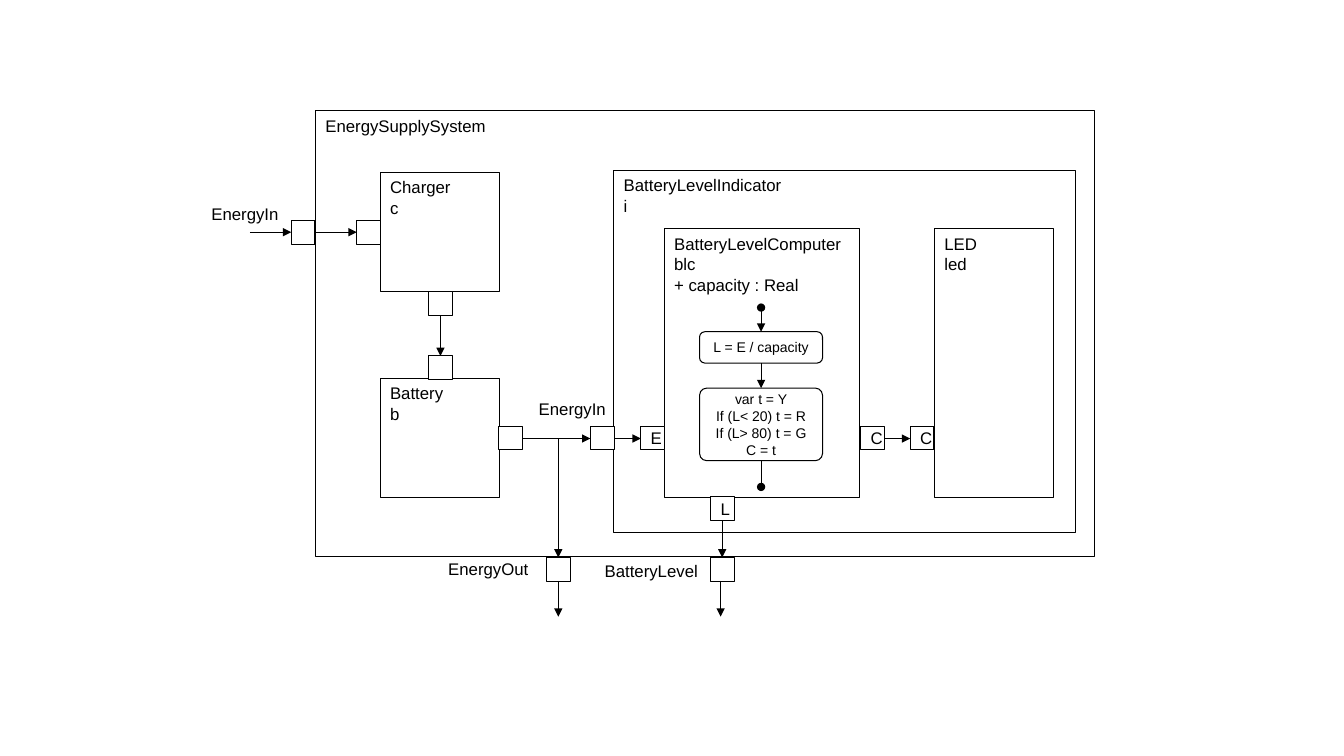
import pptx
import pptx.dml.color
import pptx.enum.shapes
import pptx.enum.text
import pptx.oxml.ns
import pptx.oxml.xmlchemy
import pptx.util

Cm = pptx.util.Cm
Pt = pptx.util.Pt
SHAPE = pptx.enum.shapes.MSO_SHAPE
ALIGN = pptx.enum.text.PP_ALIGN
ANCHOR = pptx.enum.text.MSO_ANCHOR
BLACK, WHITE = "000000", "FFFFFF"
PORT = 0.6
FLOW_ROW = 10.74
BOTTOM_ROW = 14.05


def paint(color_format, hex_color):
    """Give a solid fill or a font a colour from a hex string."""
    if hasattr(color_format, "solid"):
        color_format.solid()
        color_format = color_format.fore_color
    else:
        color_format = color_format.color
    color_format.rgb = pptx.dml.color.RGBColor.from_string(hex_color)


def write(frame, lines, align, size, frame_format):
    """Fill a text frame with one paragraph for each line."""
    for attribute, value in frame_format.items():
        setattr(frame, attribute, value)
    frame.text = lines
    for paragraph in frame.paragraphs:
        paragraph.alignment = align
        for attribute, value in {"name": "Arial", "size": Pt(size)}.items():
            setattr(paragraph.font, attribute, value)
        paint(paragraph.font, BLACK)


presentation = pptx.Presentation()
presentation.slide_width = Cm(33.87)
presentation.slide_height = Cm(19.05)
slide = presentation.slides.add_slide(presentation.slide_layouts[6])

# Components: left, top, width, height, text
components = [
    (7.95, 2.79, 19.63, 11.23, "EnergySupplySystem"),
    (15.47, 4.29, 11.63, 9.14, "BatteryLevelIndicator\ni"),
    (16.74, 5.77, 4.93, 6.76, "BatteryLevelComputer\nblc\n+ capacity : Real"),
    (23.55, 5.77, 3, 6.76, "LED\nled"),
    (9.58, 9.53, 3, 3, "Battery\nb"),
    (9.58, 4.34, 3, 3, "Charger\nc"),
]

# Ports: left, top, letter
ports = [
    (7.34, 5.56, ""), (8.99, 5.56, ""),
    (10.8, 7.34, ""), (10.8, 8.97, ""),
    (12.57, FLOW_ROW, ""), (14.88, FLOW_ROW, ""), (16.15, FLOW_ROW, "E"),
    (21.69, FLOW_ROW, "C"), (22.94, FLOW_ROW, "C"),
    (17.91, 12.52, "L"), (17.91, BOTTOM_ROW, ""), (13.77, BOTTOM_ROW, ""),
]

# Activity steps: top, height, corner rounding, text
steps = [
    (8.36, 0.79, 0.17, "L = E / capacity"),
    (9.78, 1.83, 0.1, "var t = Y\nIf (L< 20) t = R\nIf (L> 80) t = G\nC = t"),
]

top_left = {"word_wrap": True, "vertical_anchor": ANCHOR.TOP}
middle = {"word_wrap": True, "vertical_anchor": ANCHOR.MIDDLE}
no_margins = {f"margin_{side}": 0 for side in ("left", "top", "right", "bottom")}

nodes = [(SHAPE.RECTANGLE, box, None, text, ALIGN.LEFT, 12, top_left)
         for *box, text in components]
nodes += [(SHAPE.RECTANGLE, (left, top, PORT, PORT), None, letter, ALIGN.CENTER, 12, middle)
          for left, top, letter in ports]
nodes += [(SHAPE.ROUNDED_RECTANGLE, (17.63, top, 3.1, height), rounding, text,
           ALIGN.CENTER, 10, {**middle, **no_margins})
          for top, height, rounding, text in steps]

for outline, box, rounding, text, align, size, frame_format in nodes:
    node = slide.shapes.add_shape(outline, *map(Cm, box))
    node.shadow.inherit = False
    paint(node.fill, WHITE)
    paint(node.line.fill, BLACK)
    node.line.width = Pt(0.75)
    if rounding:
        node.adjustments[0] = rounding
    if text:
        write(node.text_frame, text, align, size, frame_format)

# Flows: start x, start y, end x, end y, head, tail
flows = [
    (6.3, 5.85, 7.34, 5.85, None, "triangle"),
    (7.95, 5.85, 8.99, 5.85, None, "triangle"),
    (11.1, 7.94, 11.1, 8.97, None, "triangle"),
    (13.18, 11.05, 14.88, 11.05, None, "triangle"),
    (15.49, 11.05, 16.15, 11.05, None, "triangle"),
    (22.28, 11.05, 22.94, 11.05, None, "triangle"),
    (14.07, 11.05, 14.07, BOTTOM_ROW, None, "triangle"),
    (14.07, 14.64, 14.07, 15.54, None, "triangle"),
    (18.2, 13.12, 18.2, BOTTOM_ROW, None, "triangle"),
    (18.16, 14.64, 18.16, 15.54, None, "triangle"),
    (19.18, 7.75, 19.18, 8.36, "oval", "triangle"),
    (19.18, 9.15, 19.18, 9.78, None, "triangle"),
    (19.18, 11.62, 19.18, 12.27, None, "oval"),
]
for *ends, head, tail in flows:
    flow = slide.shapes.add_connector(pptx.enum.shapes.MSO_CONNECTOR.STRAIGHT, *map(Cm, ends))
    paint(flow.line.fill, BLACK)
    flow.line.width = Pt(0.75)
    line_xml = flow.get_or_add_ln()
    for tag, ending in (("a:headEnd", head), ("a:tailEnd", tail)):
        if ending:
            marker = pptx.oxml.xmlchemy.OxmlElement(tag)
            marker.set("type", ending)
            line_xml.append(marker)
    line_xml.addnext(pptx.oxml.xmlchemy.OxmlElement("a:effectLst"))

# Names of the outer ports: left, top, text
port_names = [
    (4.27, 5, "EnergyIn"),
    (12.52, 9.93, "EnergyIn"),
    (10.57, 13.95, "EnergyOut"),
    (14.84, 14, "BatteryLevel"),
]
for left, top, text in port_names:
    port_name = slide.shapes.add_textbox(Cm(left), Cm(top), Cm(3), Cm(0.77))
    write(port_name.text_frame, text, ALIGN.RIGHT, 12, top_left)

presentation.save("out.pptx")
